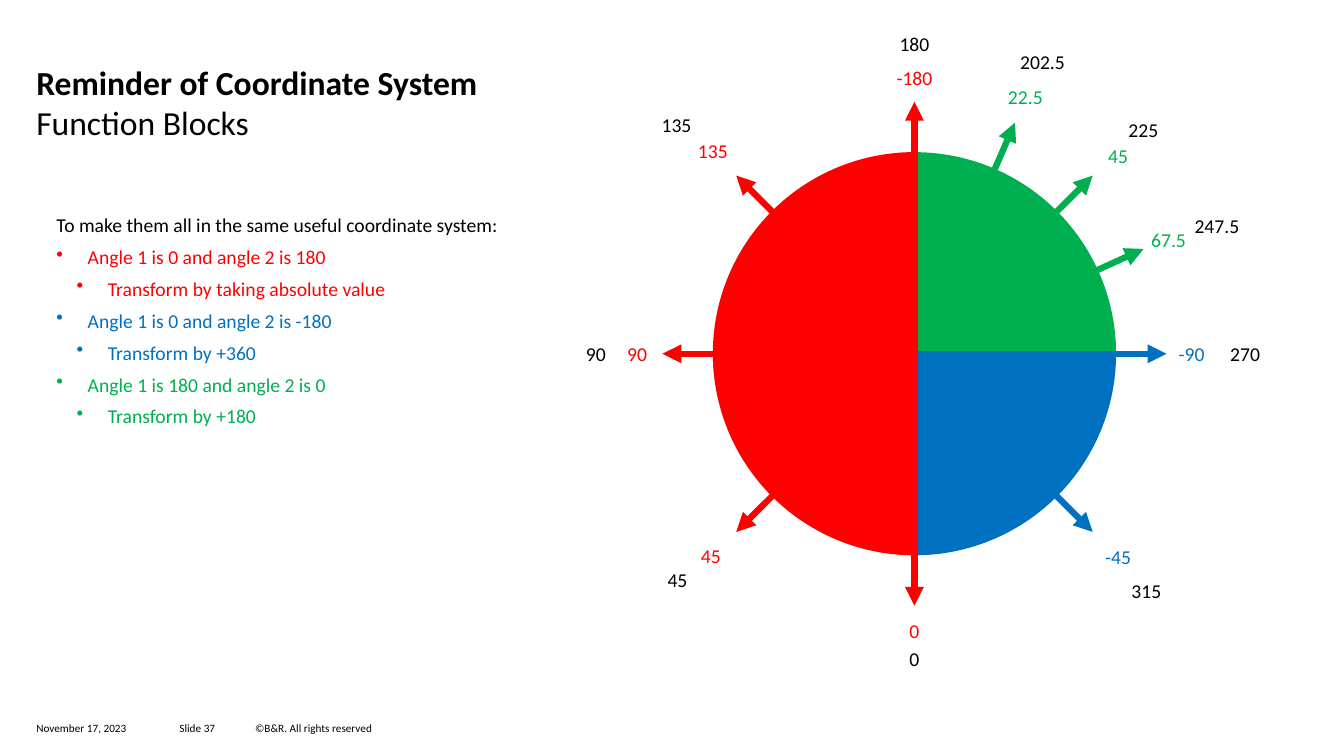
import math

import pptx
import pptx.dml.color
import pptx.enum.shapes
import pptx.enum.text
import pptx.oxml
import pptx.oxml.ns
import pptx.util

WIDTH, HEIGHT = 13.33, 7.5
BLACK, RED, BLUE, GREEN = "000000", "FF0000", "0070C0", "00B050"
LABEL_SIZE = 0.5
SECTORS = [(RED, 89.57, 269.42), (GREEN, 269.22, 359.98), (BLUE, 359.86, 89.88)]
DIRECTIONS = [
    (90, "90", (-2.75, 0), "90", (-3.16, 0), RED),
    (135, "135", (-2, -2.02), "135", (-2.36, -2.27), RED),
    (45, "45", (-2.02, 2), "45", (-2.35, 2.24), RED),
    (315, "-45", (2.02, 2.01), "315", (2.3, 2.35), BLUE),
    (225, "45", (2.02, -1.97), "225", (2.27, -2.22), GREEN),
    (245.4, "67.5", (2.52, -1.13), "247.5", (3, -1.27), GREEN),
    (203.5, "22.5", (1.1, -2.55), "202.5", (1.27, -2.9), GREEN),
    (270, "-90", (2.75, 0), "270", (3.28, 0), BLUE),
    (180, "-180", (0, -2.74), "180", (0, -3.08), RED),
    (0, "0", (0, 2.75), "0", (0, 3.02), RED),
]
RULES = [
    ("Angle 1 is 0 and angle 2 is 180", "Transform by taking absolute value", RED),
    ("Angle 1 is 0 and angle 2 is -180", "Transform by +360", BLUE),
    ("Angle 1 is 180 and angle 2 is 0", "Transform by +180", GREEN),
]


def rgb(value):
    """Turn a hex string into a colour."""
    return pptx.dml.color.RGBColor.from_string(value)


def inches(*lengths):
    """Turn numbers into lengths in inches."""
    return [pptx.util.Inches(length) for length in lengths]


def add_run(paragraph, text, size, color, bold=False):
    """Add one formatted run to a paragraph."""
    run = paragraph.add_run()
    run.text = text
    run.font.name = "Calibri"
    run.font.size = pptx.util.Pt(size)
    run.font.bold = bold
    run.font.color.rgb = rgb(color)


def prepare_frame(shape, anchor="TOP", wrap=True):
    """Clear the margins of a text frame and return it."""
    frame = shape.text_frame
    frame.margin_left = frame.margin_right = frame.margin_top = frame.margin_bottom = 0
    frame.auto_size = pptx.enum.text.MSO_AUTO_SIZE.NONE
    frame.vertical_anchor = pptx.enum.text.MSO_ANCHOR[anchor]
    frame.word_wrap = wrap
    return frame


def add_text(slide, box, text, size, color, align="LEFT", anchor="MIDDLE"):
    """Add a single line of text in a box."""
    shape = slide.shapes.add_textbox(*inches(*box))
    paragraph = prepare_frame(shape, anchor, False).paragraphs[0]
    paragraph.alignment = pptx.enum.text.PP_ALIGN[align]
    add_run(paragraph, text, size, color)


def add_heading(slide, box):
    """Place the title and the subtitle below it."""
    left, top, width, height = box
    title = slide.shapes.title
    title.left, title.top, title.width, title.height = inches(left, top, width, height)
    paragraph = prepare_frame(title).paragraphs[0]
    paragraph.alignment = pptx.enum.text.PP_ALIGN.LEFT
    add_run(paragraph, "Reminder of Coordinate System", 24, BLACK, True)
    add_text(slide, (left, top + height, width, height), "Function Blocks", 24, BLACK, anchor="TOP")


def add_rules(slide, box):
    """List the transformation rules as bullets on two levels."""
    frame = prepare_frame(slide.shapes.add_textbox(*inches(*box)))
    lines = [("To make them all in the same useful coordinate system:", 0.2, 0, BLACK)]
    for condition, transform, color in RULES:
        lines += [(condition, 0.51, -0.31, color), (transform, 0.71, -0.31, color)]
    for index, (text, margin, indent, color) in enumerate(lines):
        paragraph = frame.add_paragraph() if index else frame.paragraphs[0]
        paragraph.space_before = pptx.util.Pt(6 if index else 0)
        properties = paragraph._p.get_or_add_pPr()
        properties.set("marL", str(pptx.util.Inches(margin)))
        properties.set("indent", str(pptx.util.Inches(indent)))
        if indent:
            bullet = pptx.oxml.parse_xml(f'<a:buChar {pptx.oxml.ns.nsdecls("a")} char="•"/>')
            properties.append(bullet)
        add_run(paragraph, text, 14, color)


def add_arrow(slide, start, end, color):
    """Draw a thick straight arrow."""
    arrow = slide.shapes.add_connector(
        pptx.enum.shapes.MSO_CONNECTOR.STRAIGHT, *inches(*start, *end))
    arrow.line.color.rgb = rgb(color)
    arrow.line.width = pptx.util.Pt(4.5)
    namespace = pptx.oxml.ns.nsdecls("a")
    arrow.line._get_or_add_ln().append(
        pptx.oxml.parse_xml(f'<a:tailEnd {namespace} type="triangle"/>'))
    arrow._element.spPr.append(pptx.oxml.parse_xml(f"<a:effectLst {namespace}/>"))


def add_compass(slide, box):
    """Draw the coloured circle with its arrows and both sets of angles."""
    left, top, width, height = box
    center_x, center_y = left + width / 2, top + height / 2
    reach = width * 0.625
    for color, start, end in SECTORS:
        sector = slide.shapes.add_shape(pptx.enum.shapes.MSO_SHAPE.ARC, *inches(*box))
        sector.adjustments[0], sector.adjustments[1] = start * 0.6, end * 0.6
        sector.shadow.inherit = False
        sector.fill.solid()
        sector.fill.fore_color.rgb = rgb(color)
        sector.line.fill.background()
    for heading, angle, angle_offset, target, target_offset, color in DIRECTIONS:
        radians = math.radians(heading)
        tip = center_x - reach * math.sin(radians), center_y + reach * math.cos(radians)
        add_arrow(slide, (center_x, center_y), tip, color)
        for text, (across, down), shade in [(angle, angle_offset, color), (target, target_offset, BLACK)]:
            corner = center_x + across - LABEL_SIZE / 2, center_y + down - LABEL_SIZE / 2
            add_text(slide, (*corner, LABEL_SIZE, LABEL_SIZE), text, 14, shade, "CENTER")


def add_footer(slide, box):
    """Place date, slide number and copyright in a row."""
    left, top, width, height = box
    parts = [("November 17, 2023", 0, 1.42), ("Slide 37", 1.42, 0.72),
             ("©B&R. All rights reserved", 2.17, width - 2.17)]
    for text, offset, part_width in parts:
        add_text(slide, (left + offset, top, part_width, height), text, 8, BLACK)


def main():
    """Build the slide and save it."""
    presentation = pptx.Presentation()
    presentation.slide_width, presentation.slide_height = inches(WIDTH, HEIGHT)
    slide = presentation.slides.add_slide(presentation.slide_layouts[5])
    add_heading(slide, (0.36, 0.61, 12.61, 0.4))
    add_rules(slide, (0.36, 2.11, 4.59, 4.65))
    add_compass(slide, (7.07, 1.51, 4, 4))
    add_footer(slide, (0.36, 7.16, 3.88, 0.13))
    presentation.save("out.pptx")


if __name__ == "__main__":
    main()
